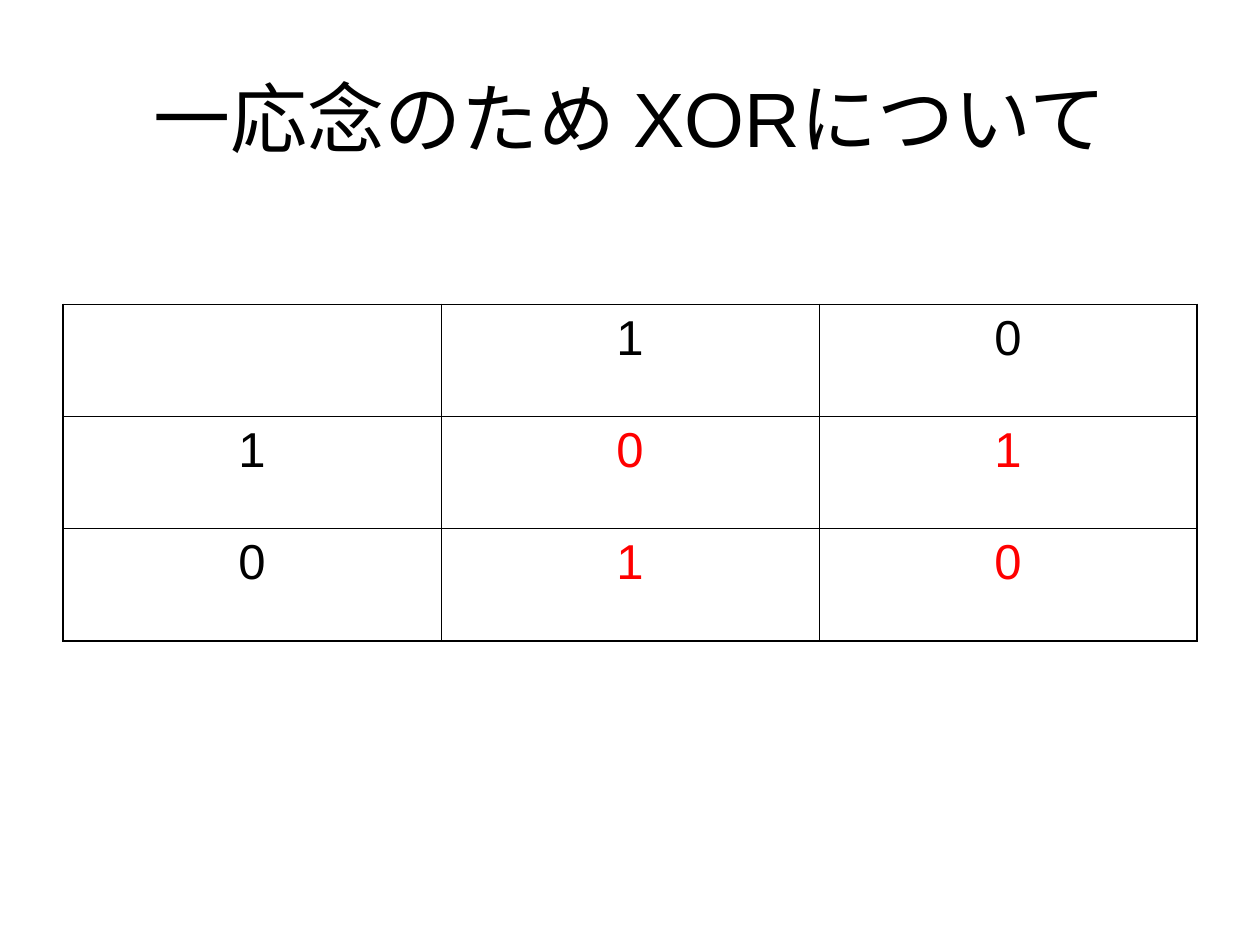
import dataclasses

import lxml.etree
import pptx
import pptx.dml.color
import pptx.enum.text
import pptx.oxml.ns
import pptx.util

Cm, Pt = pptx.util.Cm, pptx.util.Pt
CENTER = pptx.enum.text.PP_ALIGN.CENTER
MIDDLE = pptx.enum.text.MSO_ANCHOR.MIDDLE


@dataclasses.dataclass
class Theme:
    font: str = "Arial"
    ink: str = "000000"
    mark: str = "FF0000"
    head: int = 44
    body: int = 28
    thin: float = 0.45
    thick: float = 1.08


class Deck:
    def __init__(self, theme):
        self.theme = theme
        self.file = pptx.Presentation()
        self.file.slide_width, self.file.slide_height = Cm(25.4), Cm(19.05)
        self.slide = self.file.slides.add_slide(self.file.slide_layouts[5])

    def style(self, frame, size, color):
        """Centre the text and format its runs."""
        for para in frame.paragraphs:
            para.alignment = CENTER
            for run in para.runs:
                run.font.name = self.theme.font
                run.font.size = Pt(size)
                run.font.color.rgb = pptx.dml.color.RGBColor.from_string(color)

    def title(self, text, left, top, width, height):
        shape = self.slide.shapes.title
        shape.left, shape.top = Cm(left), Cm(top)
        shape.width, shape.height = Cm(width), Cm(height)
        frame = shape.text_frame
        frame.text = text
        frame.vertical_anchor = MIDDLE
        self.style(frame, self.theme.head, self.theme.ink)

    def border(self, cell, side, width):
        props = cell._tc.get_or_add_tcPr()
        name = pptx.oxml.ns.qn
        line = lxml.etree.SubElement(props, name("a:ln" + side), w=str(Pt(width)))
        fill = lxml.etree.SubElement(line, name("a:solidFill"))
        lxml.etree.SubElement(fill, name("a:srgbClr"), val=self.theme.ink)

    def table(self, rows, left, top, width, height):
        """Draw a grid with a thick frame; inner values are marked."""
        last_row, last_col = len(rows) - 1, len(rows[0]) - 1
        grid = self.slide.shapes.add_table(
            len(rows), len(rows[0]), Cm(left), Cm(top), Cm(width), Cm(height)
        ).table
        grid.first_row = grid.horz_banding = False
        for r, row in enumerate(rows):
            for c, text in enumerate(row):
                cell = grid.cell(r, c)
                cell.text_frame.text = text
                cell.text_frame.paragraphs[0].space_before = Pt(7)
                color = self.theme.mark if r and c else self.theme.ink
                self.style(cell.text_frame, self.theme.body, color)
                # Borders come before the fill in the cell properties
                edges = {"L": c == 0, "R": c == last_col,
                         "T": r == 0, "B": r == last_row}
                for side, outer in edges.items():
                    width = self.theme.thick if outer else self.theme.thin
                    self.border(cell, side, width)
                cell.fill.background()


def main():
    deck = Deck(Theme())
    # Heading
    deck.title("一応念のため XORについて", 1.27, 0.76, 22.86, 3.18)
    # Truth table, with the inputs in the first row and column
    bits = [1, 0]
    rows = [[""] + [str(b) for b in bits]]
    rows += [[str(a)] + [str(a ^ b) for b in bits] for a in bits]
    deck.table(rows, 1.27, 6.14, 22.86, 6.78)
    deck.file.save("out.pptx")


if __name__ == "__main__":
    main()
